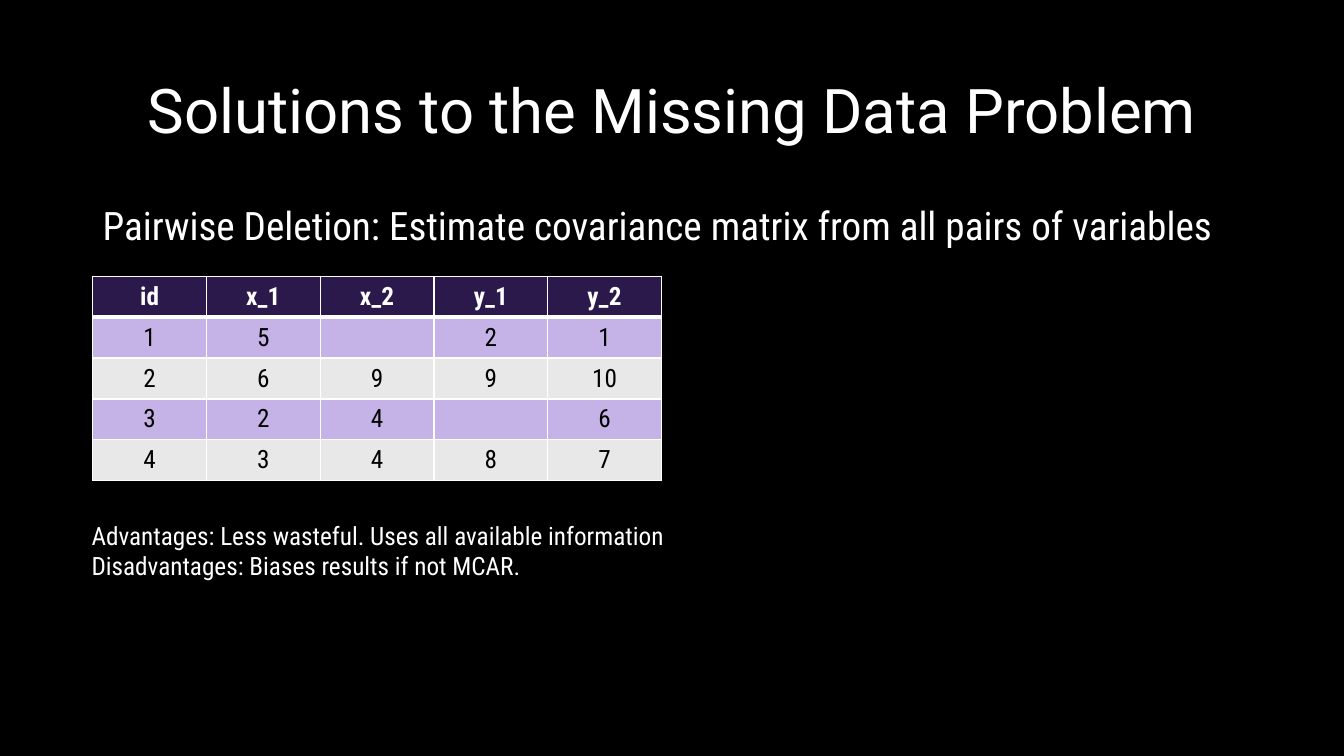
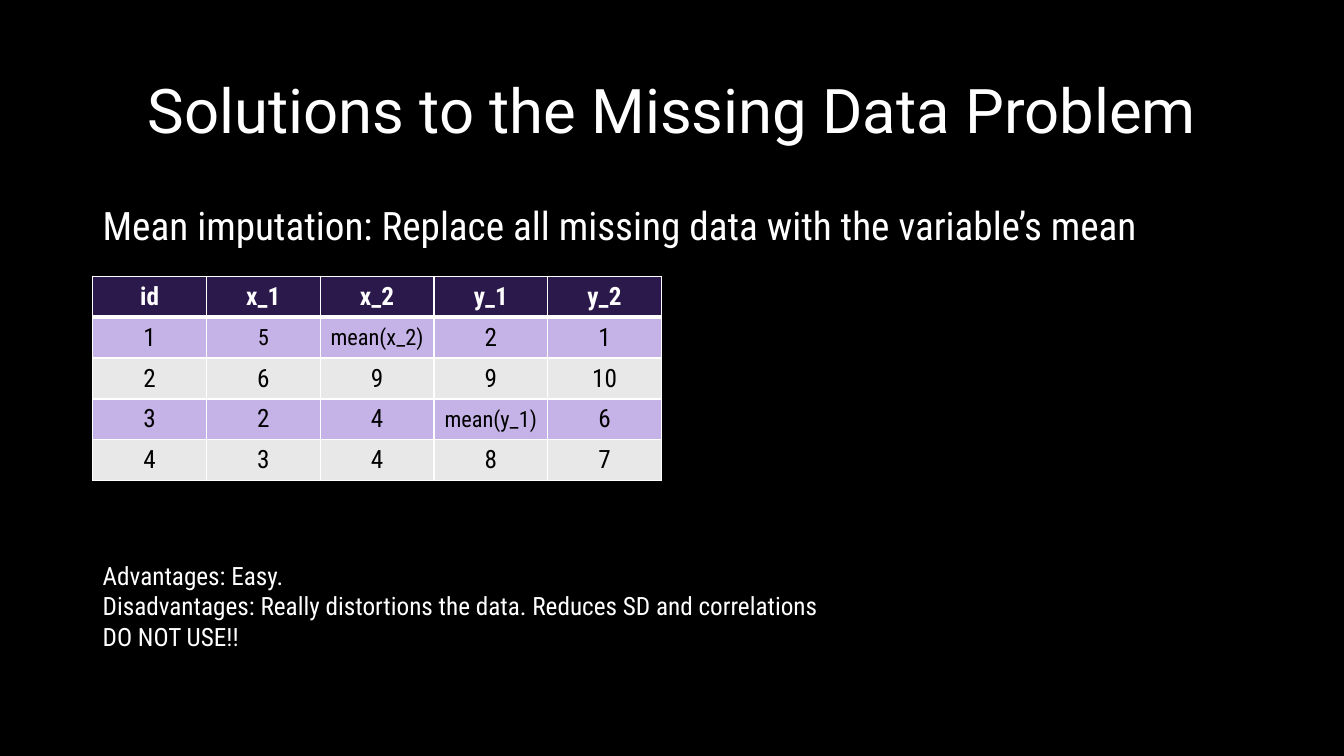
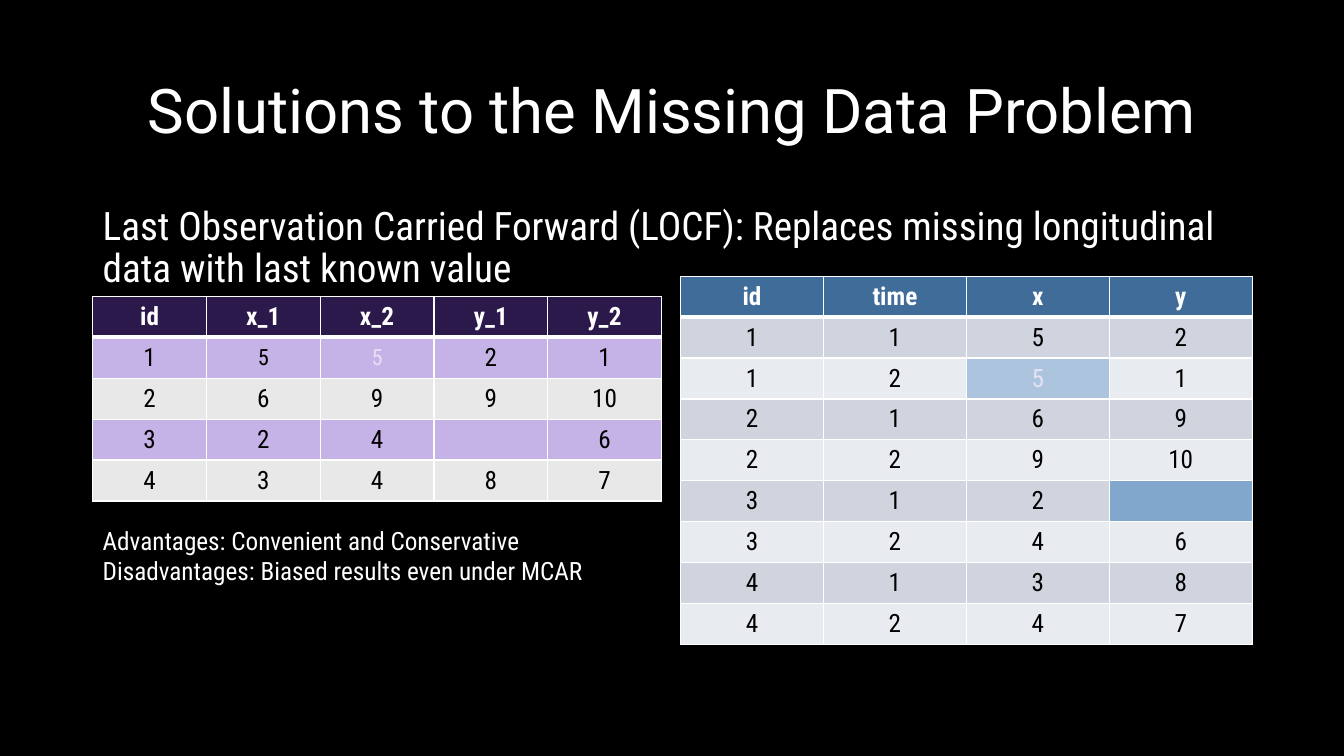
from lxml import etree
from pptx import Presentation
from pptx.dml.color import RGBColor
from pptx.enum.text import MSO_ANCHOR, PP_ALIGN
from pptx.oxml.ns import qn
from pptx.util import Inches, Pt

CENTER, LEFT = PP_ALIGN.CENTER, PP_ALIGN.LEFT
TOP, MIDDLE = MSO_ANCHOR.TOP, MSO_ANCHOR.MIDDLE

# Shared style
TITLE = "Solutions to the Missing Data Problem"
TITLE_FONT, BODY_FONT = "Roboto", "Roboto Condensed"
BLACK, WHITE, PALE = "000000", "FFFFFF", "E8E0F5"
PURPLE = ("2C194C", "C5B2E6", "E8E8E9")  # header, odd rows, even rows
BLUE = ("3F6C99", "CFD4DE", "E8EBEF")
MARGIN, CONTENT_W = 0.92, 11.5
TABLE_TOP, ROW_H = 2.74, 0.406
WIDE_W, LONG_X, LONG_W = 5.64, 6.75, 5.67

# Table data
WIDE_HEAD = ["id", "x_1", "x_2", "y_1", "y_2"]
LONG_ROWS = [
    ["id", "time", "x", "y"],
    ["1", "1", "5", "2"],
    ["1", "2", "5", "1"],
    ["2", "1", "6", "9"],
    ["2", "2", "9", "10"],
    ["3", "1", "2", ""],
    ["3", "2", "4", "6"],
    ["4", "1", "3", "8"],
    ["4", "2", "4", "7"],
]


def wide_rows(x_2="", y_1=""):
    """Wide data with the two missing values filled as given."""
    return [
        WIDE_HEAD,
        ["1", "5", x_2, "2", "1"],
        ["2", "6", "9", "9", "10"],
        ["3", "2", "4", y_1, "6"],
        ["4", "3", "4", "8", "7"],
    ]


def rgb(color):
    return RGBColor.from_string(color)


def style(p, size, color=WHITE, font=BODY_FONT, bold=False, align=LEFT):
    p.alignment = align
    p.font.name, p.font.size, p.font.bold = font, Pt(size), bold
    p.font.color.rgb = rgb(color)


def add_text(s, x, y, w, h, lines, size, anchor=TOP, spacing=1.0, before=0, **look):
    tf = s.shapes.add_textbox(Inches(x), Inches(y), Inches(w), Inches(h)).text_frame
    tf.word_wrap = True
    tf.vertical_anchor = anchor
    tf.text = "\n".join(lines)
    for p in tf.paragraphs:
        style(p, size, **look)
        p.line_spacing, p.space_before = spacing, Pt(before)


def set_borders(cell, top, bottom):
    tc_pr = cell._tc.get_or_add_tcPr()
    for side, width in (("L", 1), ("R", 1), ("T", top), ("B", bottom)):
        ln = etree.SubElement(tc_pr, qn("a:ln" + side), w=str(Pt(width)))
        fill = etree.SubElement(ln, qn("a:solidFill"))
        etree.SubElement(fill, qn("a:srgbClr"), val=WHITE)


def add_data_table(s, x, y, w, rows, palette, sizes=None, colors=None, fills=None):
    """Banded table; sizes, colors and fills override single (row, column) cells."""
    sizes, colors, fills = sizes or {}, colors or {}, fills or {}
    n_rows, n_cols = len(rows), len(rows[0])
    table = s.shapes.add_table(n_rows, n_cols, Inches(x), Inches(y),
                               Inches(w), Inches(ROW_H * n_rows)).table
    header, odd, even = palette
    for i, row in enumerate(rows):
        band = header if i == 0 else odd if i % 2 else even
        for j, text in enumerate(row):
            cell = table.cell(i, j)
            set_borders(cell, 3 if i == 1 else 1, 3 if i == 0 else 1)
            cell.fill.solid()
            cell.fill.fore_color.rgb = rgb(fills.get((i, j), band))
            cell.vertical_anchor = MIDDLE
            cell.text = text
            color = colors.get((i, j), BLACK if i else WHITE)
            style(cell.text_frame.paragraphs[0], sizes.get((i, j), 18), color,
                  bold=i == 0, align=CENTER)


def add_solution(prs, method):
    """Slide with the shared title and the method statement."""
    s = prs.slides.add_slide(prs.slide_layouts[6])
    add_text(s, MARGIN, 0.4, CONTENT_W, 1.45, [TITLE], 44, anchor=MIDDLE,
             spacing=0.9, font=TITLE_FONT, align=CENTER)
    add_text(s, MARGIN, 2, CONTENT_W, 4.76, [method], 28, spacing=0.9, before=10)
    return s


def main():
    prs = Presentation()
    prs.slide_width, prs.slide_height = Inches(13.33), Inches(7.5)
    background = prs.slide_master.background.fill
    background.solid()
    background.fore_color.rgb = rgb(BLACK)

    # Pairwise deletion
    s = add_solution(prs, "Pairwise Deletion: Estimate covariance matrix from all pairs of variables")
    add_data_table(s, MARGIN, TABLE_TOP, WIDE_W, wide_rows(), PURPLE)
    add_text(s, 0.81, 5.11, 6.24, 0.71,
             ["Advantages: Less wasteful. Uses all available information",
              "Disadvantages: Biases results if not MCAR."], 18)

    # Mean imputation
    s = add_solution(prs, "Mean imputation: Replace all missing data with the variable’s mean")
    add_data_table(s, MARGIN, TABLE_TOP, WIDE_W, wide_rows("mean(x_2)", "mean(y_1)"), PURPLE,
                   sizes={(1, 1): 16, (1, 2): 16, (3, 3): 16})
    add_text(s, MARGIN, 5.51, 7.54, 1.01,
             ["Advantages: Easy.",
              "Disadvantages: Really distortions the data. Reduces SD and correlations",
              "DO NOT USE!!"], 18)

    # Last observation carried forward: wide and long layouts
    s = add_solution(prs, "Last Observation Carried Forward (LOCF): Replaces missing "
                          "longitudinal data with last known value")
    add_data_table(s, MARGIN, TABLE_TOP + 0.2, WIDE_W, wide_rows("5"), PURPLE,
                   sizes={(1, 1): 16, (1, 2): 16}, colors={(1, 2): PALE})
    add_text(s, MARGIN, 5.16, 8.73, 0.71,
             ["Advantages: Convenient and Conservative",
              "Disadvantages: Biased results even under MCAR"], 18)
    add_data_table(s, LONG_X, TABLE_TOP, LONG_W, LONG_ROWS, BLUE,
                   colors={(2, 2): PALE}, fills={(2, 2): "ACC4DD", (5, 3): "82A7CC"})

    prs.save("out.pptx")


if __name__ == "__main__":
    main()
